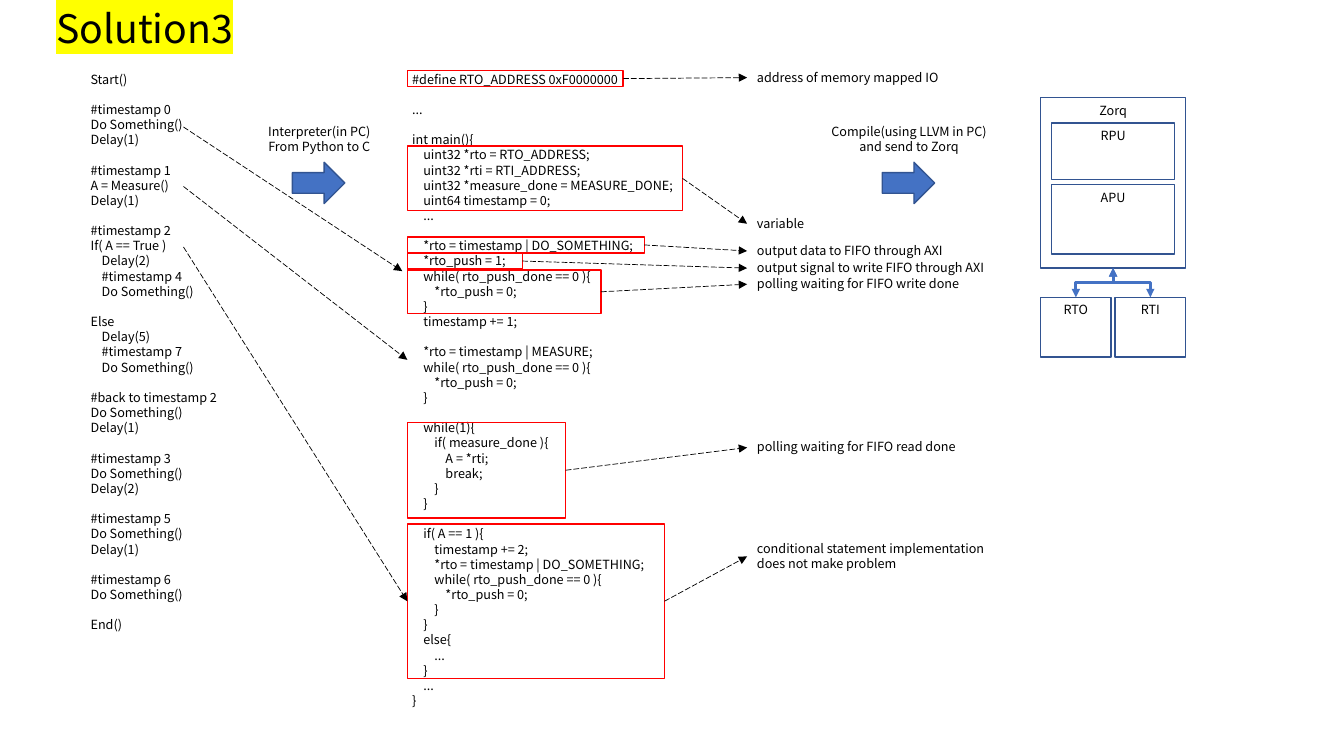
"""Build the Solution3 slide: scheduling code in Python, its C form and the target chip."""
import dataclasses

import lxml.etree
import pptx
import pptx.dml.color
import pptx.enum.dml
import pptx.enum.shapes
import pptx.enum.text
import pptx.oxml.ns
import pptx.shapes.autoshape
import pptx.shapes.connector
import pptx.shapes.shapetree
import pptx.text.text
import pptx.util

Inches = pptx.util.Inches
Pt = pptx.util.Pt
SHAPE = pptx.enum.shapes.MSO_SHAPE
CONNECTOR = pptx.enum.shapes.MSO_CONNECTOR
ALIGN = pptx.enum.text.PP_ALIGN
Shapes = pptx.shapes.shapetree.SlideShapes
Shape = pptx.shapes.autoshape.Shape
Connector = pptx.shapes.connector.Connector

FONT = "Noto Sans CJK KR"
BLACK, RED, BLUE, NAVY, YELLOW = "000000", "FF0000", "4472C4", "325491", "FFFF00"
LINE_PITCH = Pt(10.83)
INDENT = 0.11
TOP, LEFT, BOTTOM, RIGHT = 0, 1, 2, 3
CODE_LEFT = 4.04
LABEL_LEFT = 7.41

PYTHON_CODE = """Start()

#timestamp 0
Do Something()
Delay(1)

#timestamp 1
A = Measure()
Delay(1)

#timestamp 2
If( A == True )
    Delay(2)
    #timestamp 4
    Do Something()

Else
    Delay(5)
    #timestamp 7
    Do Something()

#back to timestamp 2
Do Something()
Delay(1)

#timestamp 3
Do Something()
Delay(2)

#timestamp 5
Do Something()
Delay(1)

#timestamp 6
Do Something()

End()"""

C_CODE = """#define RTO_ADDRESS 0xF0000000

...

int main(){
    uint32 *rto = RTO_ADDRESS;
    uint32 *rti = RTI_ADDRESS;
    uint32 *measure_done = MEASURE_DONE;
    uint64 timestamp = 0;
    ...

    *rto = timestamp | DO_SOMETHING;
    *rto_push = 1;
    while( rto_push_done == 0 ){
        *rto_push = 0;
    }
    timestamp += 1;

    *rto = timestamp | MEASURE;
    while( rto_push_done == 0 ){
        *rto_push = 0;
    }

    while(1){
        if( measure_done ){
            A = *rti;
            break;
        }
    }

    if( A == 1 ){
        timestamp += 2;
        *rto = timestamp | DO_SOMETHING;
        while( rto_push_done == 0 ){
            *rto_push = 0;
        }
    }
    else{
        ...
    }
    ...
}"""


@dataclasses.dataclass(frozen=True)
class Box:
    """A rectangle in inches."""
    left: float
    top: float
    width: float
    height: float

    def lengths(self) -> list[pptx.util.Length]:
        """Return the four lengths in the order the shape methods take."""
        return [Inches(value) for value in dataclasses.astuple(self)]


@dataclasses.dataclass(frozen=True)
class Callout:
    """A framed piece of C code and the remark it points to."""
    top: float
    width: float
    height: float
    label_top: float
    label: str
    label_height: float = 0.26


CALLOUTS = [
    Callout(0.7, 2.14, 0.16, 0.64, "address of memory mapped IO"),
    Callout(1.45, 2.73, 0.64, 2.09, "variable"),
    Callout(2.35, 2.35, 0.16, 2.36, "output data to FIFO through AXI"),
    Callout(2.51, 1.14, 0.16, 2.53, "output signal to write FIFO through AXI"),
    Callout(2.68, 1.92, 0.43, 2.69, "polling waiting for FIFO write done"),
    Callout(4.19, 1.57, 0.95, 4.31, "polling waiting for FIFO read done"),
    Callout(5.2, 2.55, 1.53, 5.32,
            "conditional statement implementation does not make problem", 0.4),
]


def color(value: str) -> pptx.dml.color.RGBColor:
    """Turn a hex string into a colour."""
    return pptx.dml.color.RGBColor.from_string(value)


def format_run(run: pptx.text.text._Run, size: float) -> None:
    """Set font, size and colour of a run."""
    run.font.name, run.font.size = FONT, Pt(size)
    run.font.color.rgb = color(BLACK)


def write(shape: Shape, text: str, align: ALIGN = ALIGN.LEFT) -> None:
    """Write lines, turning leading spaces into indents and empty lines into spacing."""
    frame = shape.text_frame
    frame.word_wrap = True
    frame.vertical_anchor = pptx.enum.text.MSO_ANCHOR.TOP
    lines = text.split("\n")
    frame.text = "\n".join(line.strip() for line in lines if line)
    positions = [index for index, line in enumerate(lines) if line]
    for paragraph, index in zip(frame.paragraphs, positions):
        paragraph.alignment = align
        paragraph.line_spacing = LINE_PITCH
        if index and not lines[index - 1]:
            paragraph.space_before = LINE_PITCH
        level = (len(lines[index]) - len(lines[index].lstrip())) // 4
        if level:
            properties = paragraph._p.get_or_add_pPr()
            properties.set("marL", str(Inches(INDENT * level)))
            properties.set("indent", "0")
        format_run(paragraph.runs[0], 9)


def add_text(shapes: Shapes, box: Box, text: str, align: ALIGN = ALIGN.LEFT) -> Shape:
    """Add a text box."""
    shape = shapes.add_textbox(*box.lengths())
    write(shape, text, align)
    return shape


def add_box(shapes: Shapes, box: Box, line: str, text: str = "", fill: str = "",
            kind: SHAPE = SHAPE.RECTANGLE) -> Shape:
    """Add an outlined shape, filled and labelled when asked."""
    shape = shapes.add_shape(kind, *box.lengths())
    shape.shadow.inherit = False
    if fill:
        shape.fill.solid()
        shape.fill.fore_color.rgb = color(fill)
    else:
        shape.fill.background()
    shape.line.color.rgb = color(line)
    shape.line.width = Pt(1)
    if text:
        write(shape, text, ALIGN.CENTER)
    return shape


def style_connector(connector: Connector, line: str, width: float, ends: list[str]) -> None:
    """Colour a connector and put arrowheads on the named ends."""
    connector.line.color.rgb = color(line)
    connector.line.width = Pt(width)
    if width < 1:
        connector.line.dash_style = pptx.enum.dml.MSO_LINE.LONG_DASH
    outline = connector.line._get_or_add_ln()
    for end in ends:
        lxml.etree.SubElement(outline, pptx.oxml.ns.qn(f"a:{end}"), type="triangle")
    lxml.etree.SubElement(connector._element.spPr, pptx.oxml.ns.qn("a:effectLst"))


def add_arrow(shapes: Shapes, start: tuple[float, float], end: tuple[float, float]) -> Connector:
    """Add a thin dashed arrow."""
    points = [Inches(value) for value in (*start, *end)]
    connector = shapes.add_connector(CONNECTOR.STRAIGHT, *points)
    style_connector(connector, BLACK, 0.5, ["tailEnd"])
    return connector


def add_elbow(shapes: Shapes, upper: Shape, lower: Shape) -> None:
    """Join the bottom of one box to the top of another with a two-headed elbow."""
    connector = shapes.add_connector(CONNECTOR.ELBOW, 0, 0, 0, 0)
    connector.begin_connect(upper, BOTTOM)
    connector.end_connect(lower, TOP)
    start, end = upper.left + upper.width // 2, lower.left + lower.width // 2
    drop, run = lower.top - upper.top - upper.height, abs(end - start)
    transform = connector._element.spPr.find(pptx.oxml.ns.qn("a:xfrm"))
    for name in ("flipH", "flipV"):
        transform.attrib.pop(name, None)
    transform.set("rot", str(60000 * (90 if end < start else 270)))
    if end > start:
        transform.set("flipH", "1")
    connector.left = (start + end - drop) // 2
    connector.top = upper.top + upper.height + (drop - run) // 2
    connector.width, connector.height = drop, run
    style_connector(connector, BLUE, 2, ["headEnd", "tailEnd"])


def add_title(shapes: Shapes) -> None:
    """Add the highlighted title."""
    shape = shapes.add_textbox(*Box(0.46, 0.08, 11.5, 0.52).lengths())
    shape.text_frame.word_wrap = True
    shape.text_frame.text = "Solution3"
    paragraph = shape.text_frame.paragraphs[0]
    paragraph.line_spacing = 0.8
    run = paragraph.runs[0]
    format_run(run, 28)
    highlight = lxml.etree.Element(pptx.oxml.ns.qn("a:highlight"))
    lxml.etree.SubElement(highlight, pptx.oxml.ns.qn("a:srgbClr"), val=YELLOW)
    run._r.rPr.find(pptx.oxml.ns.qn("a:solidFill")).addnext(highlight)


def main() -> None:
    """Build and save the slide."""
    presentation = pptx.Presentation()
    presentation.slide_width, presentation.slide_height = Inches(13.33), Inches(7.5)
    shapes = presentation.slides.add_slide(presentation.slide_layouts[6]).shapes
    add_title(shapes)
    add_text(shapes, Box(0.8, 0.66, 1.75, 5.83), PYTHON_CODE)
    add_text(shapes, Box(3.99, 0.66, 3.18, 6.73), C_CODE)

    for left, step in ((2.29, "Interpreter(in PC)\nFrom Python to C"),
                       (8.14, "Compile(using LLVM in PC) and send to Zorq")):
        add_text(shapes, Box(left, 1.18, 1.75, 0.44), step, ALIGN.CENTER)
        add_box(shapes, Box(left + 0.61, 1.61, 0.52, 0.41), NAVY, fill=BLUE,
                kind=SHAPE.RIGHT_ARROW)

    chip = add_box(shapes, Box(10.32, 0.97, 1.44, 1.69), NAVY, "Zorq")
    add_box(shapes, Box(10.43, 1.83, 1.22, 0.69), NAVY, "APU")
    add_box(shapes, Box(10.43, 1.22, 1.22, 0.56), NAVY, "RPU")
    for left, name in ((10.32, "RTO"), (11.06, "RTI")):
        add_elbow(shapes, chip, add_box(shapes, Box(left, 2.95, 0.7, 0.59), NAVY, name))

    for callout in CALLOUTS:
        frame = add_box(shapes, Box(CODE_LEFT, callout.top, callout.width, callout.height), RED)
        label = add_text(shapes, Box(LABEL_LEFT, callout.label_top, 2.47, callout.label_height),
                         callout.label)
        arrow = add_arrow(shapes, (0, 0), (0, 0))
        arrow.begin_connect(frame, RIGHT)
        arrow.end_connect(label, LEFT)

    for start_top, end in ((1.26, (3.99, 2.69)), (1.85, (CODE_LEFT, 3.57)),
                           (2.45, (CODE_LEFT, 5.97))):
        arrow = add_arrow(shapes, (1.82, start_top), end)
    arrow.end_connect(frame, LEFT)
    presentation.save("out.pptx")


if __name__ == "__main__":
    main()
